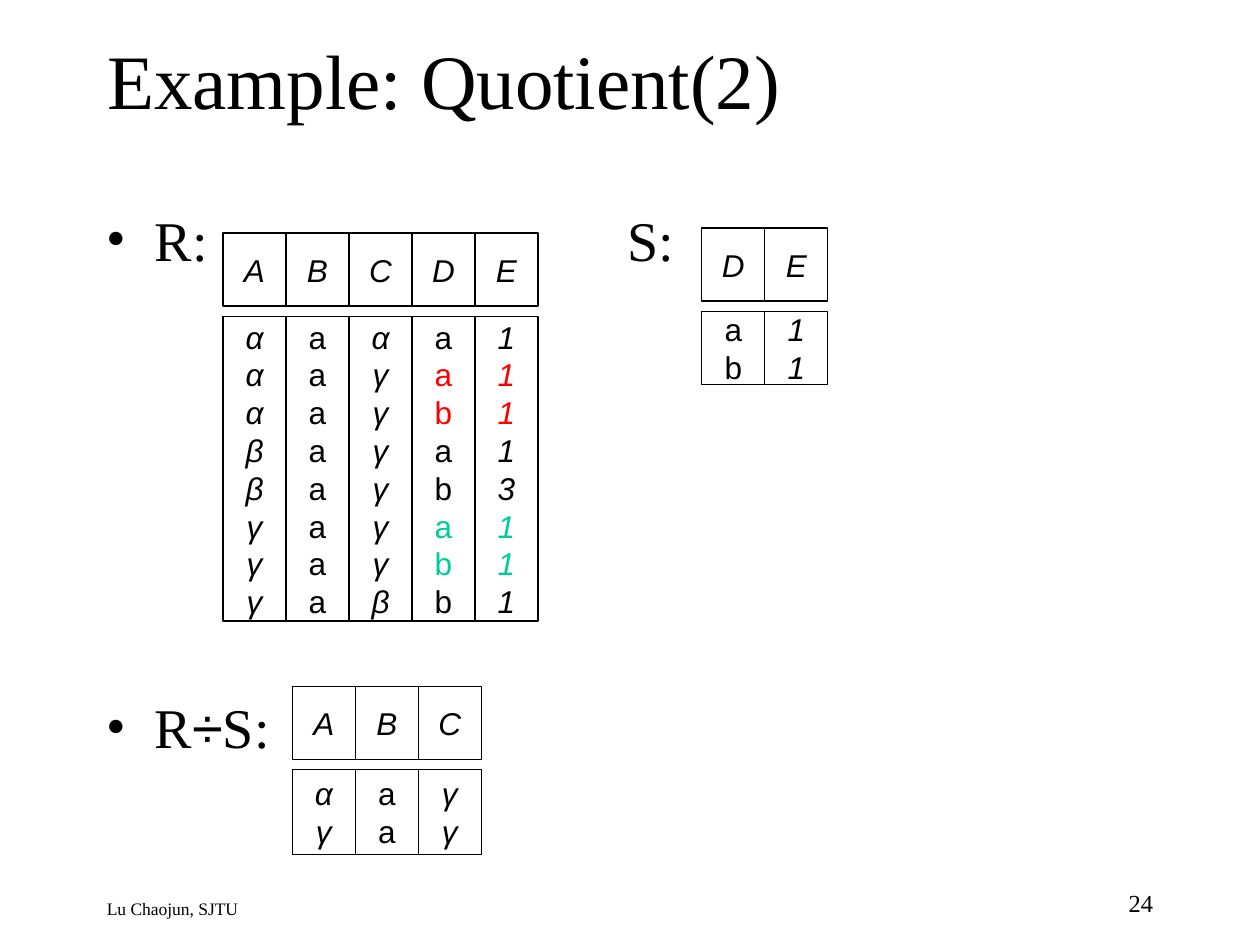
from lxml.etree import SubElement
from pptx import Presentation
from pptx.dml.color import RGBColor
from pptx.enum.shapes import MSO_SHAPE as Shape
from pptx.enum.text import MSO_ANCHOR as Anchor, MSO_AUTO_SIZE as AutoSize, PP_ALIGN as Align
from pptx.oxml.ns import qn
from pptx.util import Inches, Pt

SERIF, SANS = "Times New Roman", "Arial"
BLACK, WHITE, RED, GREEN = "000000", "FFFFFF", "FF0000", "00CC99"


def color(hex_value):
    return RGBColor.from_string(hex_value)


class SlideBuilder:
    line_factor = 1.2
    column_width, header_height, body_offset = 0.5, 0.58, 0.66
    value_size = 18
    upright_columns = "BD"

    def __init__(self, presentation):
        self.slide = presentation.slides.add_slide(presentation.slide_layouts[5])

    def run(self, paragraph, text, size, font=SERIF, fill=BLACK, italic=False):
        paragraph.line_spacing = Pt(round(size * self.line_factor, 1))
        run = paragraph.add_run()
        run.text = text
        run.font.size = Pt(size)
        run.font.name = font
        run.font.italic = italic
        run.font.color.rgb = color(fill)

    def title(self, text, left, top, width, height):
        shape = self.slide.shapes.title
        shape.left, shape.top = Inches(left), Inches(top)
        shape.width, shape.height = Inches(width), Inches(height)
        frame = shape.text_frame
        frame.auto_size = AutoSize.NONE
        frame.vertical_anchor = Anchor.MIDDLE
        paragraph = frame.paragraphs[0]
        paragraph.alignment = Align.LEFT
        self.run(paragraph, text, 44)

    def text_frame(self, left, top, width, height):
        box = self.slide.shapes.add_textbox(
            Inches(left), Inches(top), Inches(width), Inches(height))
        box.text_frame.word_wrap = True
        return box.text_frame

    def label(self, text, size, left, top, width, height, align=Align.LEFT):
        paragraph = self.text_frame(left, top, width, height).paragraphs[0]
        paragraph.alignment = align
        self.run(paragraph, text, size)

    def bullets(self, items, gap, left, top, width, height):
        frame = self.text_frame(left, top, width, height)
        for index, runs in enumerate(items):
            paragraph = frame.add_paragraph() if index else frame.paragraphs[0]
            properties = paragraph._p.get_or_add_pPr()
            properties.set("marL", str(Inches(0.38)))
            properties.set("indent", str(-Inches(0.38)))
            SubElement(properties, qn("a:buFont"), typeface=SERIF)
            SubElement(properties, qn("a:buChar"), char="•")
            if index:
                paragraph.space_before = Pt(gap)
            for text, font in runs:
                self.run(paragraph, text, 32, font)

    def cell(self, values, colors, italic, left, top, height):
        shape = self.slide.shapes.add_shape(
            Shape.RECTANGLE, Inches(left), Inches(top),
            Inches(self.column_width), Inches(height))
        shape.shadow.inherit = False
        shape.fill.solid()
        shape.fill.fore_color.rgb = color(WHITE)
        shape.line.color.rgb = color(BLACK)
        shape.line.width = Pt(0.75)
        frame = shape.text_frame
        frame.word_wrap = False
        frame.vertical_anchor = Anchor.MIDDLE
        for index, (value, fill) in enumerate(zip(values, colors)):
            paragraph = frame.add_paragraph() if index else frame.paragraphs[0]
            paragraph.alignment = Align.CENTER
            self.run(paragraph, value, self.value_size, SANS, fill, italic)

    def relation(self, columns, left, top, body_height, row_colors):
        """Draw a header box and a box of values for each attribute."""
        for index, (name, values) in enumerate(columns.items()):
            x = left + index * self.column_width
            colors = row_colors if name in "DE" else [BLACK] * len(values)
            self.cell(name, [BLACK], True, x, top, self.header_height)
            self.cell(values, colors, name not in self.upright_columns,
                      x, top + self.body_offset, body_height)


def main():
    presentation = Presentation()
    presentation.slide_width, presentation.slide_height = Inches(10), Inches(7.5)
    builder = SlideBuilder(presentation)

    # Title and footer
    builder.title("Example: Quotient(2)", 0.75, 0, 8.5, 1.25)
    builder.label("Lu Chaojun, SJTU", 10, 0.75, 7.08, 5.8, 0.25)
    builder.label("24", 14, 7.17, 7, 2.08, 0.33, Align.RIGHT)

    # Relation names
    builder.bullets([[("R:", SERIF)],
                     [("R", SERIF), ("÷", SANS), ("S:", SERIF)]],
                    240, 0.75, 1.58, 8.5, 5.08)
    builder.label("S:", 32, 4.88, 1.58, 0.7, 0.63)

    # Relation R, with the rows that match S in colour
    builder.relation({"A": "αααββγγγ", "B": "aaaaaaaa", "C": "αγγγγγγβ",
                      "D": "aababab" "b", "E": "11113111"},
                     1.77, 1.85, 2.42,
                     [BLACK, RED, RED, BLACK, BLACK, GREEN, GREEN, BLACK])

    # Relation S
    builder.relation({"D": "ab", "E": "11"}, 5.57, 1.81, 0.58, [BLACK] * 2)

    # Quotient R÷S
    builder.relation({"A": "αγ", "B": "aa", "C": "γγ"}, 2.32, 5.45, 0.67, [BLACK] * 2)

    presentation.save("out.pptx")


if __name__ == "__main__":
    main()
